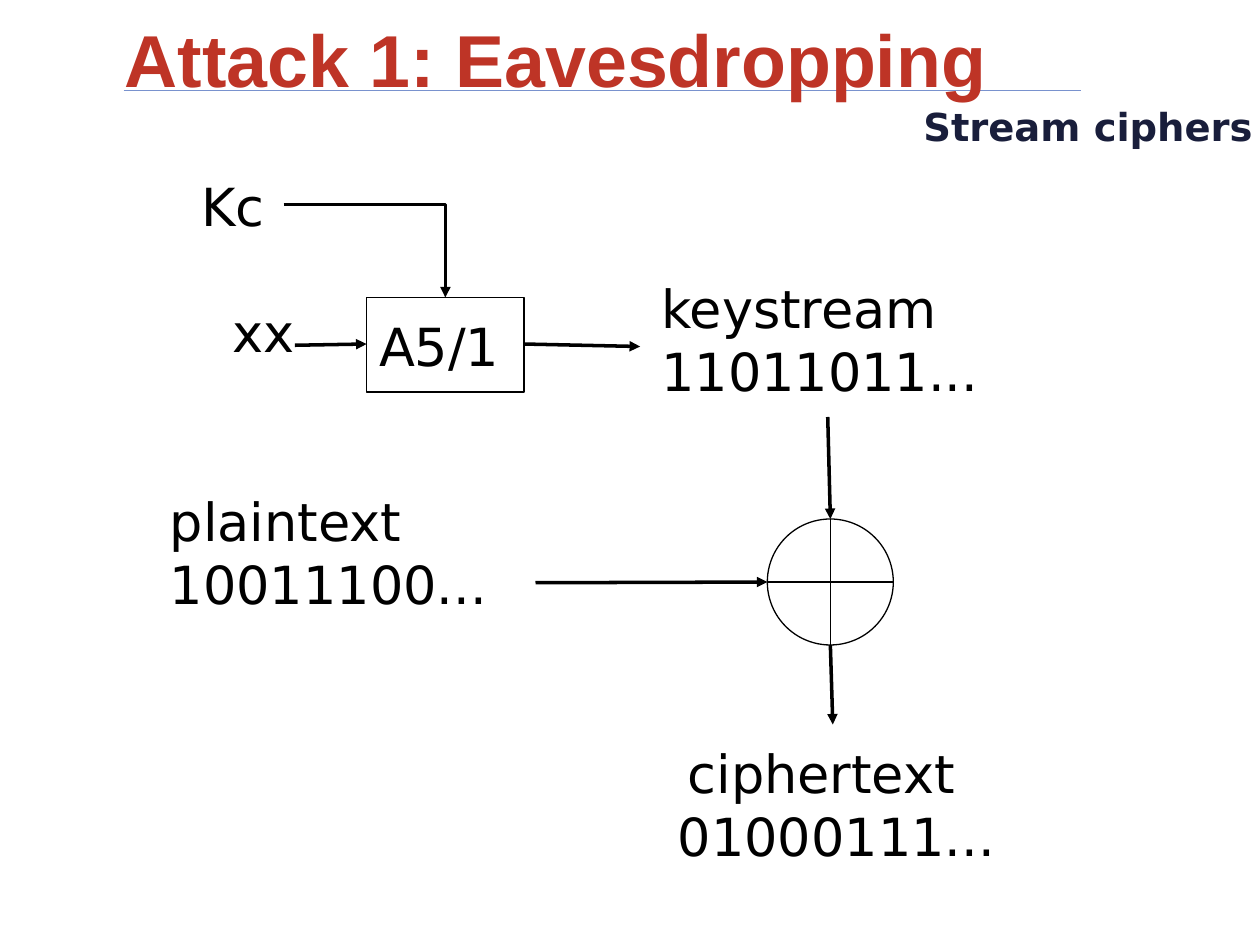
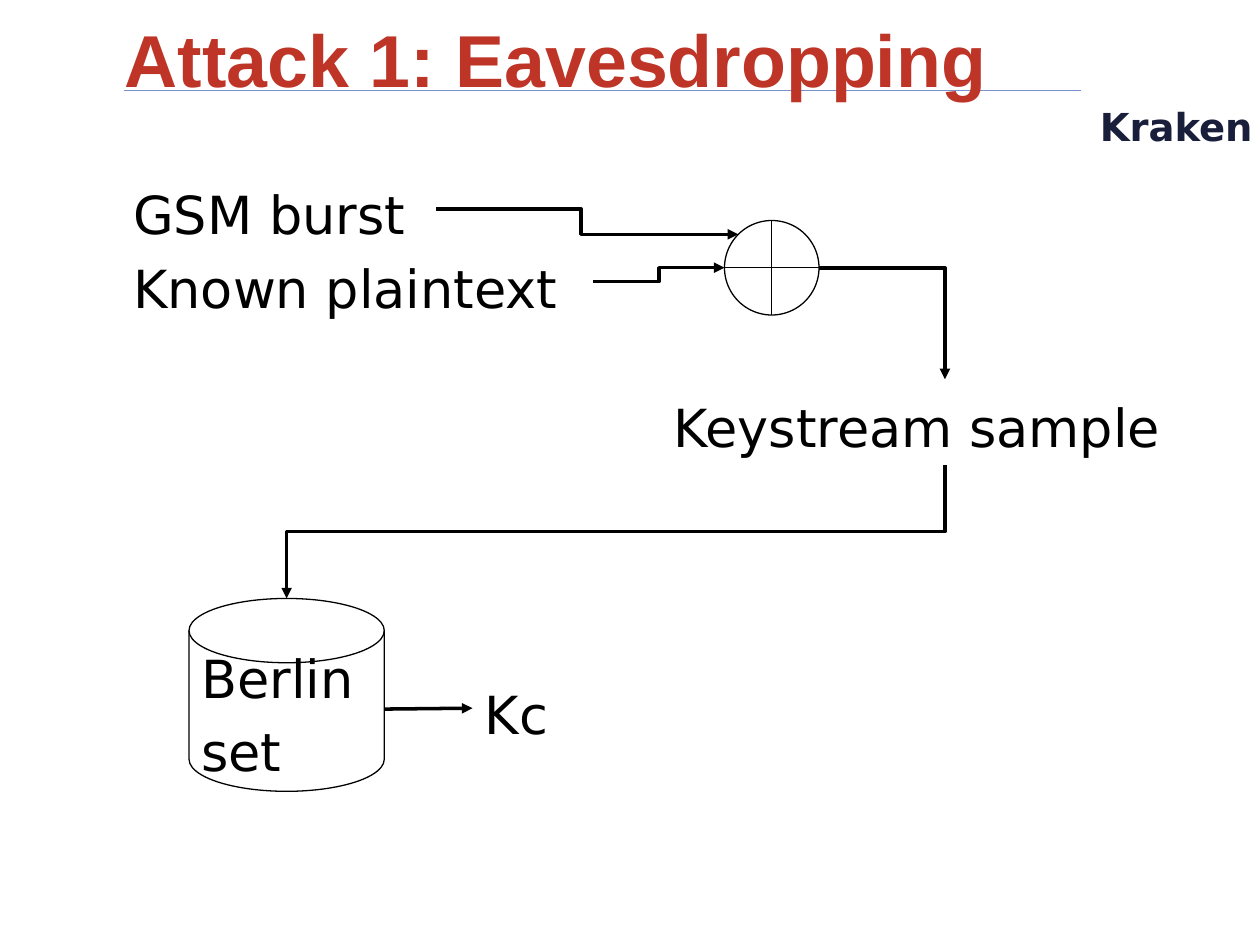
from lxml.etree import SubElement
from pptx import Presentation
from pptx.dml.color import RGBColor
from pptx.enum.shapes import MSO_CONNECTOR as LINK, MSO_SHAPE as SHAPE
from pptx.enum.text import MSO_ANCHOR as ANCHOR, MSO_AUTO_SIZE as AUTOSIZE, PP_ALIGN as ALIGN
from pptx.oxml.ns import qn
from pptx.util import Pt

COLORS = {"title": "BE3426", "subtitle": "191E3B", "rule": "7992CE", "ink": "000000"}


class Deck:
    """Holds the shared style and the current slide, and draws each kind of element."""

    def __init__(self):
        self.prs = Presentation()
        self.prs.slide_width, self.prs.slide_height = Pt(720), Pt(540)
        self.slide = None

    def start_slide(self, title, subtitle):
        self.slide = self.prs.slides.add_slide(self.prs.slide_layouts[6])
        self.line((70.6, 51.8), (617.8, 51.8), color="rule", width=0.75, arrow=False)
        self.text(title, 71.3, -4.3, 644.4, 62.6, size=42, font="Arial", color="title",
                  bold=True, spacing=1.24, anchor=ANCHOR.MIDDLE, insets=(0, 0, 0, 0))
        self.text(subtitle, 195.1, 55.4, 522, 29.5, size=22, color="subtitle", bold=True,
                  spacing=1.02, align=ALIGN.RIGHT, insets=(0, 2.9, 1.4, 0))

    def text(self, content, left, top, width, height=54, *, size=30, font="DejaVu Sans",
             color="ink", bold=False, spacing=1.16, align=ALIGN.LEFT, anchor=ANCHOR.TOP,
             insets=(7.2, 3.6, 7.2, 3.6)):
        box = self.slide.shapes.add_textbox(Pt(left), Pt(top), Pt(width), Pt(height))
        frame = box.text_frame
        frame.word_wrap, frame.auto_size = True, AUTOSIZE.SHAPE_TO_FIT_TEXT
        frame.vertical_anchor = anchor
        (frame.margin_left, frame.margin_top,
         frame.margin_right, frame.margin_bottom) = map(Pt, insets)
        frame.text = content
        for paragraph in frame.paragraphs:
            paragraph.alignment, paragraph.line_spacing = align, spacing
            for run in paragraph.runs:
                run.font.size, run.font.name, run.font.bold = Pt(size), font, bold
                run.font.color.rgb = RGBColor.from_string(COLORS[color])

    def outline(self, kind, left, top, width, height):
        shape = self.slide.shapes.add_shape(kind, Pt(left), Pt(top), Pt(width), Pt(height))
        shape.shadow.inherit = False
        shape.fill.background()
        shape.line.color.rgb = RGBColor.from_string(COLORS["ink"])
        shape.line.width = Pt(0)

    def line(self, start, end, *, kind=LINK.STRAIGHT, color="ink", width=0, arrow=True):
        link = self.slide.shapes.add_connector(kind, *map(Pt, (*start, *end)))
        link.line.color.rgb = RGBColor.from_string(COLORS[color])
        link.line.width = Pt(width)
        if arrow:
            SubElement(link.line._get_or_add_ln(), qn("a:tailEnd"), type="triangle")
        SubElement(link._element.spPr, qn("a:effectLst"))
        return link

    def corner(self, start, end):
        link = self.line(start, end, kind=LINK.ELBOW)
        link._element.spPr.find(qn("a:prstGeom")).set("prst", "bentConnector2")

    def step(self, start, end, bend=0.5):
        link = self.line(start, end, kind=LINK.ELBOW)
        adjustments = link._element.spPr.find(qn("a:prstGeom")).get_or_add_avLst()
        SubElement(adjustments, qn("a:gd"), name="adj1", fmla=f"val {round(bend * 100000)}")

    def drop_left(self, start, end):
        center_x, center_y = (start[0] + end[0]) / 2, (start[1] + end[1]) / 2
        half_run, half_drop = (start[0] - end[0]) / 2, (end[1] - start[1]) / 2
        link = self.line((center_x - half_drop, center_y - half_run),
                         (center_x + half_drop, center_y + half_run), kind=LINK.ELBOW)
        link.rotation = 90
        link._element.spPr.find(qn("a:xfrm")).set("rot", str(90 * 60000))


def stream_ciphers(deck):
    deck.start_slide("Attack 1: Eavesdropping", "Stream ciphers")
    cipher = (209.5, 170, 90, 54)
    deck.outline(SHAPE.RECTANGLE, *cipher)
    deck.text("A5/1", *cipher)
    deck.text("Kc", 108, 90, 54)
    deck.text("xx", 126, 162, 54)
    deck.corner((162, 117), (254.5, 170))
    for label, label_left, bits, bits_left, top in (
            ("keystream", 370.8, "11011011...", 370.8, 148.3),
            ("plaintext", 90, "10011100...", 90, 270),
            ("ciphertext", 385.9, "01000111...", 380.2, 414)):
        deck.text(label, label_left, top, 180)
        deck.text(bits, bits_left, top + 36, 216)
    deck.outline(SHAPE.FLOWCHART_OR, 438.5, 296.6, 72, 72)
    for start, end in (((168.5, 197.3), (209.5, 196.6)),
                       ((299.5, 196.6), (365.8, 198)),
                       ((474.5, 368.6), (475.9, 414)),
                       ((473, 238.3), (474.5, 296.6)),
                       ((306, 333), (438.5, 332.6))):
        deck.line(start, end)


def kraken(deck):
    deck.start_slide("Attack 1: Eavesdropping", "Kraken")
    deck.outline(SHAPE.FLOWCHART_MAGNETIC_DISK, 108, 342, 111.6, 110.2)
    deck.text("Berlin\nset", 108, 360, 111.6, 90.7)
    for label, left, top, width in (("Keystream sample", 378, 216.7, 324),
                                    ("Kc", 270, 380.2, 54),
                                    ("GSM burst", 69.1, 95, 180),
                                    ("Known plaintext", 69.1, 136.8, 270)):
        deck.text(label, left, top, width, 49)
    deck.outline(SHAPE.FLOWCHART_OR, 414, 126, 54, 54)
    deck.line((219.6, 405.2), (270, 404.7))
    deck.step((249.1, 119.5), (421.9, 133.9), bend=0.48)
    deck.step((339.1, 161), (414, 153))
    deck.corner((468, 153), (540, 216.7))
    deck.drop_left((540, 265.7), (163.8, 342))


def main():
    deck = Deck()
    stream_ciphers(deck)
    kraken(deck)
    deck.prs.save("out.pptx")


if __name__ == "__main__":
    main()
